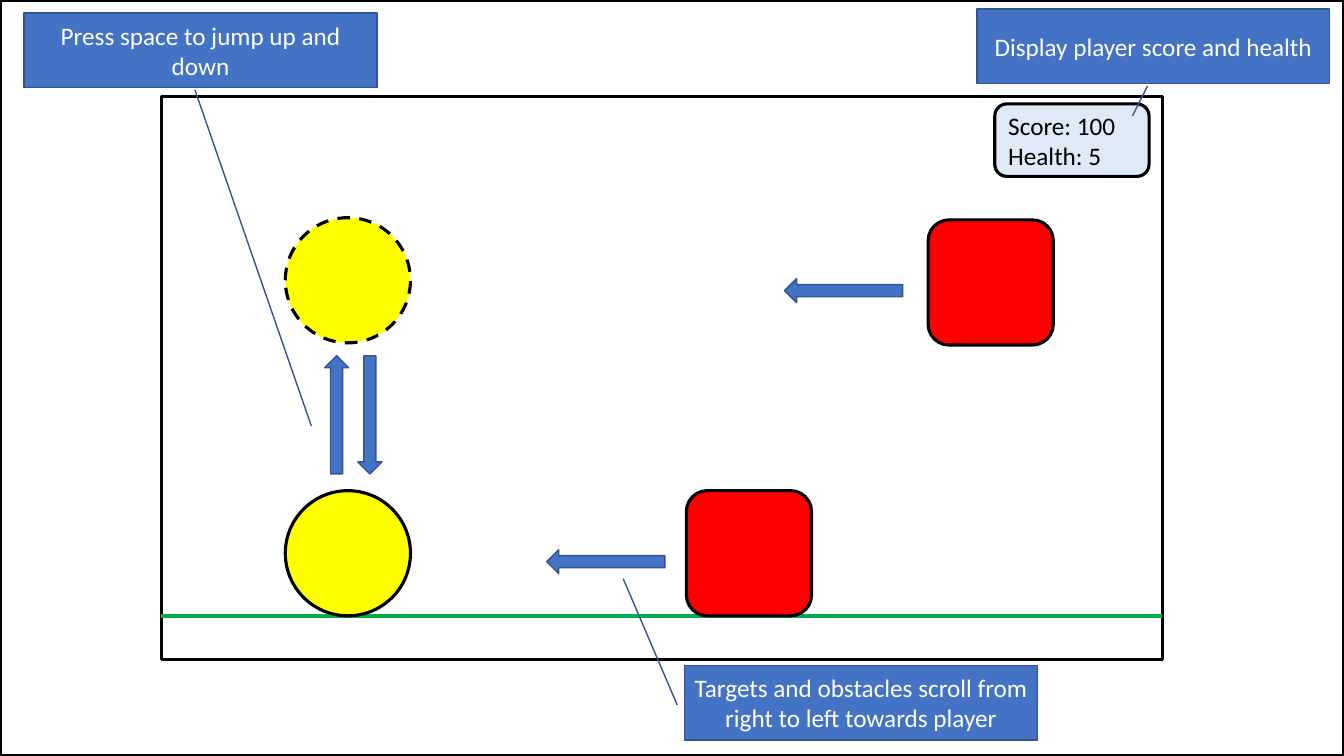
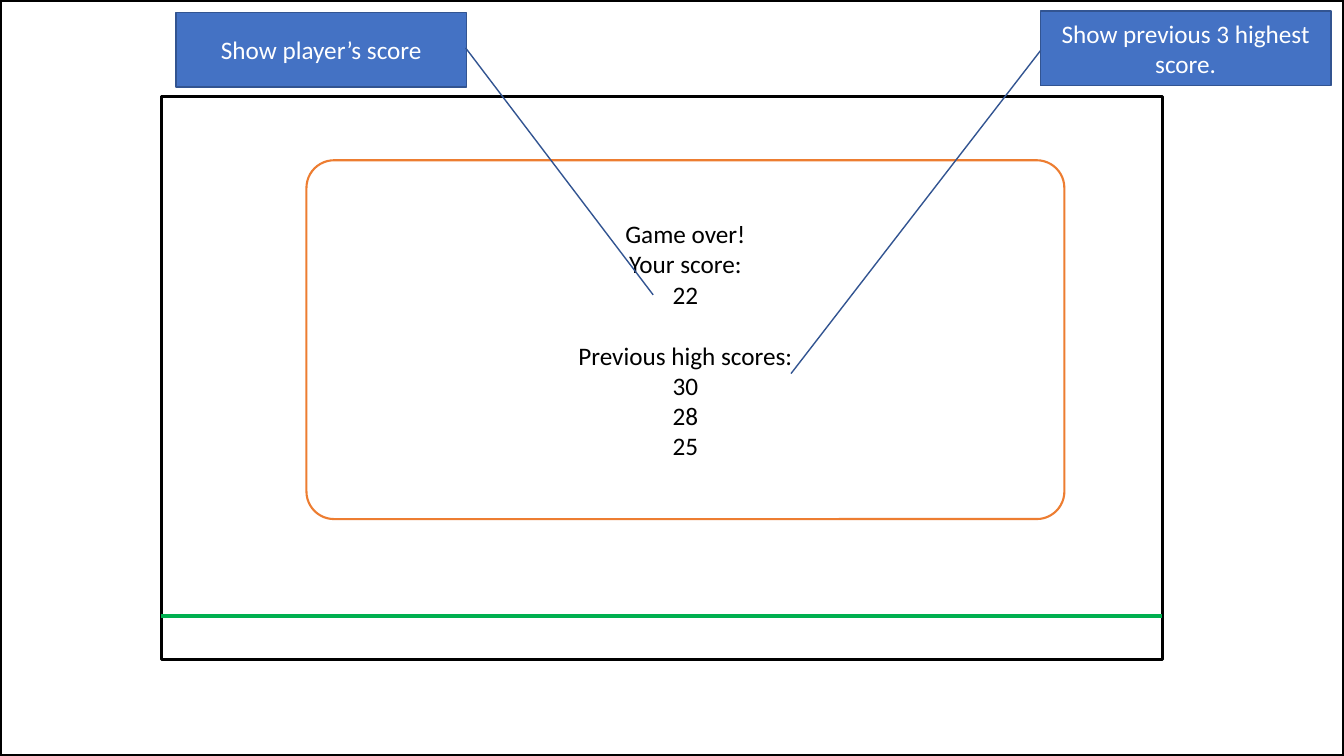
from dataclasses import dataclass
from lxml.etree import SubElement
from pptx import Presentation
from pptx.dml.color import RGBColor as Rgb
from pptx.enum.dml import MSO_LINE_DASH_STYLE as Dash
from pptx.enum.shapes import MSO_CONNECTOR as Connector, MSO_SHAPE as Shape
from pptx.enum.text import MSO_ANCHOR as Anchor, PP_ALIGN as Align
from pptx.oxml.ns import qn
from pptx.util import Pt


@dataclass(frozen=True)
class Theme:
    """Colours, font, type size and line widths of the slides."""
    white: str = "FFFFFF"
    ink: str = "000000"
    blue: str = "4472C4"
    blue_edge: str = "325491"
    player: str = "FFFF00"
    obstacle: str = "FF0000"
    ground: str = "00B050"
    score: str = "DEEBF7"
    panel_edge: str = "ED7D31"
    font: str = "Calibri"
    size: float = 18
    thin: float = 1
    medium: float = 1.5
    heavy: float = 2.25
    thick: float = 3


@dataclass(frozen=True)
class Box:
    """A rectangle in points."""
    left: float
    top: float
    width: float
    height: float

    def inner(self, left, top, width, height):
        """Return a box placed relative to this one."""
        return Box(self.left + left, self.top + top, width, height)


THEME = Theme()
SLIDE = Box(0, 0, 960, 540)
FIELD = SLIDE.inner(115.2, 69.1, 715, 401.8)
GROUND = 370.8
PIECE = 89.4


def draw(slide, kind, box, fill=None, line=THEME.ink, weight=THEME.heavy,
         dash=None, rotation=0, adjust=()):
    """Add one preset shape in the given box."""
    shape = slide.shapes.add_shape(
        kind, Pt(box.left), Pt(box.top), Pt(box.width), Pt(box.height))
    shape.shadow.inherit = False
    shape.rotation = rotation
    if fill:
        shape.fill.solid()
        shape.fill.fore_color.rgb = Rgb.from_string(fill)
    else:
        shape.fill.background()
    shape.line.color.rgb = Rgb.from_string(line)
    shape.line.width = Pt(weight)
    if dash:
        shape.line.dash_style = dash
    for index, value in enumerate(adjust):
        shape.adjustments[index] = value
    return shape


def write(shape, text, color=THEME.ink, align=Align.CENTER, gap_before=None):
    """Fill a shape with lines of text, with a gap above the chosen line."""
    frame = shape.text_frame
    frame.word_wrap = True
    frame.vertical_anchor = Anchor.MIDDLE
    for index, words in enumerate(text.split("\n")):
        paragraph = frame.add_paragraph() if index else frame.paragraphs[0]
        paragraph.alignment = align
        if index == gap_before:
            paragraph.space_before = Pt(THEME.size * 1.22)
        run = paragraph.add_run()
        run.text = words
        run.font.name = THEME.font
        run.font.size = Pt(THEME.size)
        run.font.color.rgb = Rgb.from_string(color)


def callout(slide, box, text, leader):
    """Add a blue note whose leader is given as y, x, y, x fractions."""
    note = draw(slide, Shape.LINE_CALLOUT_1, box, THEME.blue, THEME.blue_edge,
                THEME.thin, adjust=leader)
    write(note, text, color=THEME.white)


def motion_arrow(slide, field, center_x, center_y, rotation=0):
    """Add a blue arrow, pointing up before rotation, around a centre."""
    width, length = 17.2, 84.4
    box = field.inner(center_x - width / 2, center_y - length / 2, width, length)
    draw(slide, Shape.UP_ARROW, box, THEME.blue, THEME.blue_edge, THEME.thin,
         rotation=rotation)


def game_field(slide, field):
    """Draw the game window and its ground line."""
    draw(slide, Shape.RECTANGLE, field)
    level = Pt(field.top + GROUND)
    ground = slide.shapes.add_connector(
        Connector.STRAIGHT, Pt(field.left), level, Pt(field.left + field.width), level)
    ground.line.color.rgb = Rgb.from_string(THEME.ground)
    ground.line.width = Pt(THEME.thick)
    SubElement(ground._element.spPr, qn("a:effectLst"))


def player(slide, field):
    """Draw the player on the ground and in mid-jump, with the jump arrows."""
    for top, dash in ((GROUND - PIECE, None), (86.4, Dash.DASH)):
        draw(slide, Shape.OVAL, field.inner(88.6, top, PIECE, PIECE),
             THEME.player, dash=dash)
    for center_x, rotation in ((125.2, 0), (149, 180)):
        motion_arrow(slide, field, center_x, 227.2, rotation)


def obstacles(slide, field):
    """Draw each obstacle with the arrow that leads it to the left."""
    for left, top, arrow_x, arrow_y in ((375.1, GROUND - PIECE, 317.5, 332.1),
                                        (547.8, 88, 487.4, 138.5)):
        draw(slide, Shape.ROUNDED_RECTANGLE, field.inner(left, top, PIECE, PIECE),
             THEME.obstacle)
        motion_arrow(slide, field, arrow_x, arrow_y, 270)


def score_board(slide, field):
    """Draw the score and health display in the corner of the field."""
    board = draw(slide, Shape.ROUNDED_RECTANGLE, field.inner(595.4, 5.1, 110.2, 51.8),
                 THEME.score)
    write(board, "Score: 100\nHealth: 5", align=Align.LEFT)


def game_over_panel(slide, field):
    """Draw the closing panel with the scores."""
    panel = draw(slide, Shape.ROUNDED_RECTANGLE, field.inner(103.7, 45.4, 541.4, 256.3),
                 THEME.white, THEME.panel_edge, THEME.medium, adjust=(0.077,))
    write(panel, "Game over!\nYour score:\n22\nPrevious high scores:\n30\n28\n25",
          gap_before=3)


def play_slide(slide, page):
    """Build the slide of the running game."""
    game_field(slide, FIELD)
    draw(slide, Shape.RECTANGLE, page)
    player(slide, FIELD)
    obstacles(slide, FIELD)
    score_board(slide, FIELD)
    width, height = 252, 53.4
    for left, top, text, leader in (
            (17.3, 9.2, "Press space to jump up and down",
             (1.029, 0.484, 5.525, 0.814)),
            (489, 475.3, "Targets and obstacles scroll from right to left towards player",
             (0.528, -0.021, -1.16, -0.174)),
            (697.8, 6.4, "Display player score and health",
             (1.029, 0.484, 1.431, 0.441))):
        callout(slide, page.inner(left, top, width, height), text, leader)


def game_over_slide(slide, page):
    """Build the slide of the finished game."""
    game_field(slide, FIELD)
    game_over_panel(slide, FIELD)
    draw(slide, Shape.RECTANGLE, page)
    width, height = 207.4, 53.4
    for left, top, text, leader in (
            (743.2, 7.8, "Show previous 3 highest score.",
             (0.528, 0.001, 4.851, -0.859)),
            (125.8, 8.8, "Show player’s score",
             (0.477, 0.997, 3.78, 1.643))):
        callout(slide, page.inner(left, top, width, height), text, leader)


def main():
    """Build and save the deck."""
    deck = Presentation()
    deck.slide_width, deck.slide_height = Pt(SLIDE.width), Pt(SLIDE.height)
    for build in (play_slide, game_over_slide):
        build(deck.slides.add_slide(deck.slide_layouts[6]), SLIDE)
    deck.save("out.pptx")


main()
